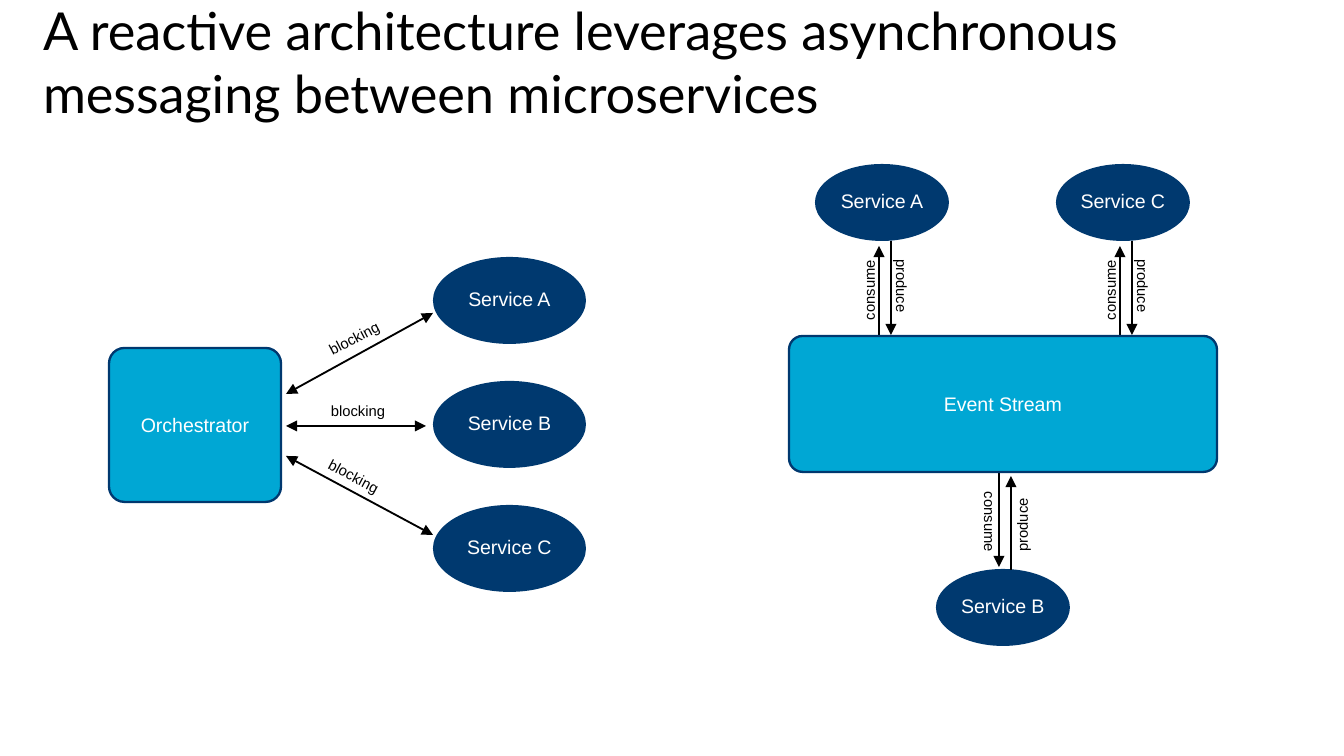
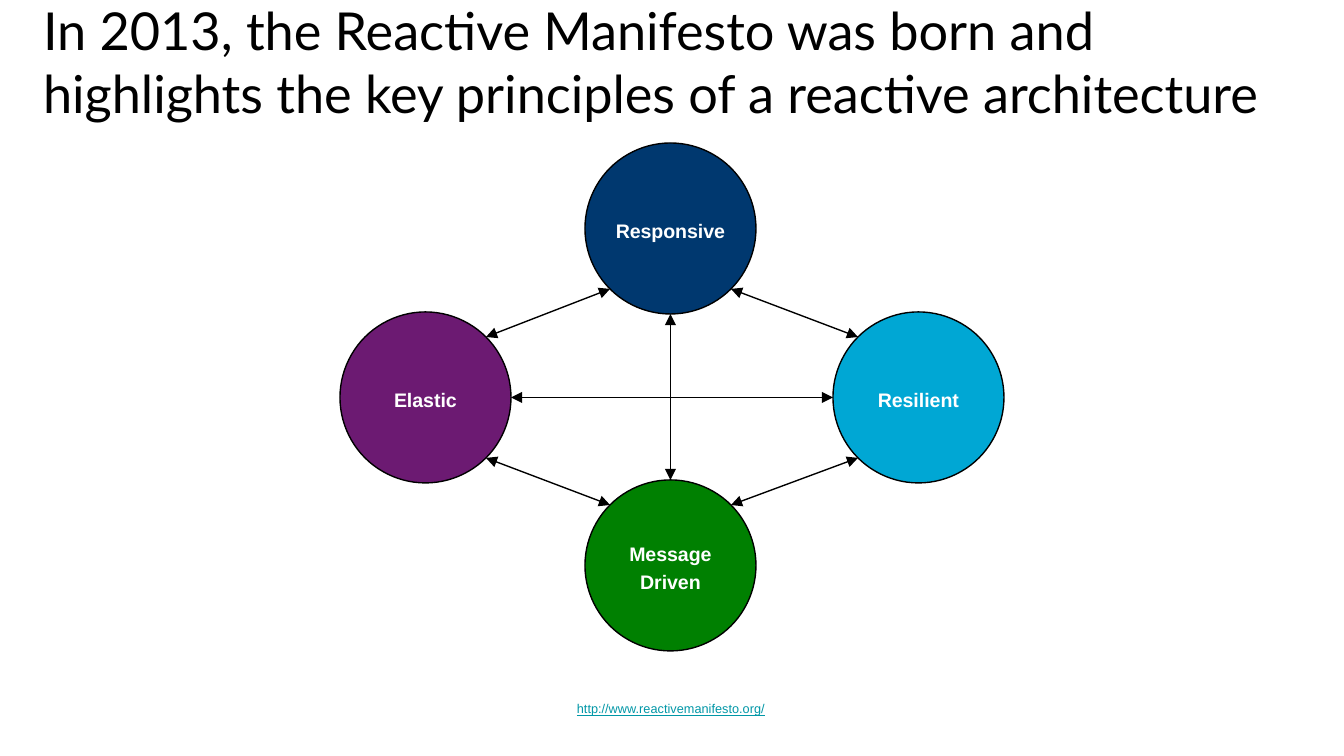
import dataclasses
import math

import lxml.etree
import pptx
import pptx.dml.color
import pptx.enum.dml
import pptx.enum.shapes
import pptx.enum.text
import pptx.oxml.ns
import pptx.util

SCALE = 914400 / 134.4
SHAPES = pptx.enum.shapes.MSO_SHAPE
ANCHORS = pptx.enum.text.MSO_ANCHOR
ALIGNMENTS = pptx.enum.text.PP_ALIGN


@dataclasses.dataclass(frozen=True)
class Theme:
    black: str = "000000"
    white: str = "FFFFFF"
    navy: str = "00396F"
    outline: str = "00386F"
    cyan: str = "00A7D4"
    purple: str = "6C1A72"
    green: str = "008001"
    link: str = "0097A7"
    title_font: str = "Lato"
    body_font: str = "Arial"
    title_size: float = 28
    node_size: float = 10.5
    label_size: float = 7.9
    link_size: float = 6.8


THEME = Theme()


def px(length):
    return pptx.util.Emu(round(length * SCALE))


def rgb(color):
    return pptx.dml.color.RGBColor.from_string(color)


def write(shape, text, size, color, font=THEME.body_font, bold=False, underline=False,
          align=ALIGNMENTS.CENTER, anchor=ANCHORS.MIDDLE, insets=(0, 0, 0, 0), spacing=1.0):
    frame = shape.text_frame
    frame.text = text
    frame.word_wrap = True
    frame.auto_size = pptx.enum.text.MSO_AUTO_SIZE.NONE
    frame.vertical_anchor = anchor
    frame.margin_left, frame.margin_top, frame.margin_right, frame.margin_bottom = map(px, insets)
    for paragraph in frame.paragraphs:
        paragraph.alignment = align
        paragraph.line_spacing = spacing
        paragraph.space_before = pptx.util.Pt(0)
        for run in paragraph.runs:
            run.font.name = font
            run.font.size = pptx.util.Pt(size)
            run.font.bold = bold
            run.font.underline = underline
            run.font.color.rgb = rgb(color)


@dataclasses.dataclass
class Region:
    slide: pptx.slide.Slide
    left: int
    top: int

    def node(self, kind, box, fill, line=None, width=1.0):
        left, top, wide, high = box
        shape = self.slide.shapes.add_shape(
            kind, px(self.left + left), px(self.top + top), px(wide), px(high))
        shape.shadow.inherit = False
        shape.fill.solid()
        shape.fill.fore_color.rgb = rgb(fill)
        if line:
            shape.line.color.rgb = rgb(line)
            shape.line.width = pptx.util.Pt(width)
        else:
            shape.line.fill.background()
        return shape

    def service(self, name, box):
        shape = self.node(SHAPES.OVAL, box, THEME.navy)
        write(shape, name, THEME.node_size, THEME.white, insets=(0, 0, 0, 3))

    def hub(self, name, box):
        shape = self.node(SHAPES.ROUNDED_RECTANGLE, box, THEME.cyan, THEME.outline, 1.25)
        shape.adjustments[0] = 0.1
        write(shape, name, THEME.node_size, THEME.white)

    def label(self, text, center, size, rotation=0):
        wide, high = size
        shape = self.slide.shapes.add_textbox(
            px(self.left + center[0] - wide / 2), px(self.top + center[1] - high / 2),
            px(wide), px(high))
        shape.rotation = rotation
        write(shape, text, THEME.label_size, THEME.black)

    def arrow(self, start, end, width=1.0, ends=("headEnd", "tailEnd")):
        connector = self.slide.shapes.add_connector(
            pptx.enum.shapes.MSO_CONNECTOR.STRAIGHT,
            px(self.left + start[0]), px(self.top + start[1]),
            px(self.left + end[0]), px(self.top + end[1]))
        connector.line.color.rgb = rgb(THEME.black)
        connector.line.width = pptx.util.Pt(width)
        outline = connector.line._get_or_add_ln()
        for end_name in ends:
            lxml.etree.SubElement(outline, pptx.oxml.ns.qn(f"a:{end_name}"), type="triangle")
        lxml.etree.SubElement(connector._element.spPr, pptx.oxml.ns.qn("a:effectLst"))


def add_titled_slide(presentation, text):
    slide = presentation.slides.add_slide(presentation.slide_layouts[5])
    title = slide.shapes.title
    title.left, title.top, title.width, title.height = map(px, (30, 24, 1286, 113))
    write(title, text, THEME.title_size, THEME.black, THEME.title_font,
          align=ALIGNMENTS.LEFT, anchor=ANCHORS.BOTTOM, insets=(13, 13, 13, 13))
    return slide


def draw_orchestration(slide, left, top):
    region = Region(slide, left, top)
    calls = (
        ("Service A", (177, 137), (324, 56), (245, 81), 332.4),
        ("Service B", (177, 169), (317, 169), (249, 154), 0),
        ("Service C", (177, 199), (324, 278), (245, 219), 28),
    )
    for row, (name, start, end, center, rotation) in enumerate(calls):
        region.arrow(start, end)
        region.service(name, (324, 124 * row, 153, 87))
        region.label("blocking", center, (116, 30), rotation)
    region.hub("Orchestrator", (0, 91, 172, 154))


def draw_event_stream(slide, left, top):
    region = Region(slide, left, top)
    above = (("consume", 64, 82, 176, 54, 126, 270), ("produce", 76, 171, 77, 87, 122, 90))
    below = (("consume", 63, 403, 308, 54, 358, 90), ("produce", 75, 312, 406, 86, 361, 270))
    services = (
        ("Service A", 26, 0, above),
        ("Service C", 267, 0, above),
        ("Service B", 147, 405, below),
    )
    for name, x, y, channels in services:
        region.service(name, (x, y, 134, 77))
        for text, line_x, head_y, tail_y, label_x, label_y, rotation in channels:
            region.label(text, (x + label_x, label_y), (100, 26), rotation)
            region.arrow((x + line_x, head_y), (x + line_x, tail_y), ends=("headEnd",))
    region.hub("Event Stream", (0, 172, 428, 136))


def draw_principles(slide, left, top):
    region = Region(slide, left, top)
    diameter = 171
    radius = diameter / 2
    principles = {
        "Responsive": (245, 0, THEME.outline),
        "Elastic": (0, 169, THEME.purple),
        "Message Driven": (245, 337, THEME.green),
        "Resilient": (493, 169, THEME.cyan),
    }
    links = (
        ("Elastic", -45, "Responsive", 135),
        ("Message Driven", -90, "Responsive", 90),
        ("Elastic", 0, "Resilient", 180),
        ("Elastic", 45, "Message Driven", -135),
        ("Resilient", -135, "Responsive", 45),
        ("Resilient", 135, "Message Driven", -45),
    )

    def rim(name, degrees):
        x, y, _ = principles[name]
        angle = math.radians(degrees)
        return x + radius * (1 + math.cos(angle)), y + radius * (1 + math.sin(angle))

    for name, (x, y, fill) in principles.items():
        circle = region.node(SHAPES.OVAL, (x, y, diameter, diameter), fill, THEME.black, 0.75)
        write(circle, name, THEME.node_size, THEME.white, bold=True,
              insets=(0, 5, 0, 5), spacing=1.2)
    for start, start_angle, end, end_angle in links:
        region.arrow(rim(start, start_angle), rim(end, end_angle), 0.75)


def draw_source(slide, left, top):
    shape = slide.shapes.add_textbox(px(left), px(top), px(336), px(28))
    write(shape, "http://www.reactivemanifesto.org/", THEME.link_size, THEME.link,
          underline=True, anchor=ANCHORS.TOP, insets=(13, 7, 13, 7))


def main():
    presentation = pptx.Presentation()
    presentation.slide_width = px(1344)
    presentation.slide_height = px(756)

    slide = add_titled_slide(
        presentation,
        "A reactive architecture leverages asynchronous messaging between microservices")
    draw_orchestration(slide, 109, 257)
    draw_event_stream(slide, 789, 164)

    slide = add_titled_slide(
        presentation,
        "In 2013, the Reactive Manifesto was born and highlights "
        "the key principles of a reactive architecture")
    draw_source(slide, 503, 694)
    draw_principles(slide, 340, 143)

    presentation.save("out.pptx")


if __name__ == "__main__":
    main()
